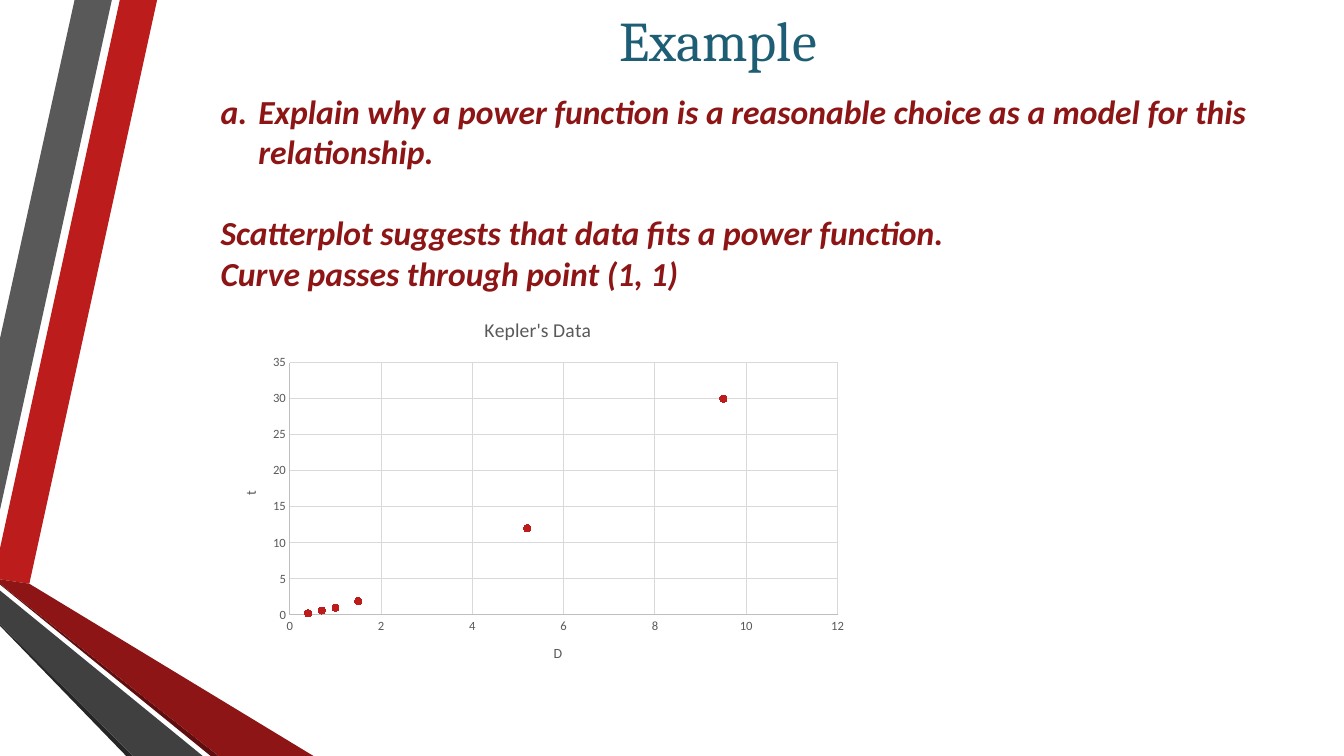
from lxml import etree
from pptx import Presentation
from pptx.chart.data import XyChartData
from pptx.dml.color import RGBColor
from pptx.enum.chart import XL_CHART_TYPE, XL_MARKER_STYLE, XL_TICK_MARK
from pptx.enum.text import PP_ALIGN
from pptx.oxml.ns import qn
from pptx.util import Cm, Pt

SCATTER = XL_CHART_TYPE.XY_SCATTER
CIRCLE = XL_MARKER_STYLE.CIRCLE
NO_TICK = XL_TICK_MARK.NONE
CENTER = PP_ALIGN.CENTER

RED, DARK_RED, TEAL, GRAY = "BC1C1C", "8D1515", "1D5E75", "595959"
AXIS_GRAY, GRID_GRAY = "BFBFBF", "D9D9D9"

RIBBONS = [
    (RED, [(0, 13.82), (0, 14.6), (0.74, 14.71), (3.96, 0), (3.02, 0)]),
    (GRAY, [(2.82, 0), (1.88, 0), (0, 8.53), (0, 12.85)]),
    ("262626", [(0, 15.72), (0, 15.77), (3.18, 19.05), (3.35, 19.05)]),
    ("5E0E0E", [(0, 14.71), (0, 14.73), (5.31, 19.05), (5.51, 19.05)]),
    (DARK_RED, [(0, 14.71), (5.51, 19.05), (7.9, 19.05), (0.74, 14.71), (0, 14.6)]),
    ("404040", [(0, 15.72), (3.35, 19.05), (5.11, 19.05), (0, 14.88)]),
]
TITLE = "Example"
QUESTION = "Explain why a power function is a reasonable choice as a model for this relationship."
ANSWERS = [
    ("Scatterplot suggests that data fits a power function.", 29.3),
    ("Curve passes through point (1, 1)", 0),
]
CHART_TITLE = "Kepler's Data"
ORBITS = [(0.4, 0.2), (0.7, 0.6), (1, 1), (1.5, 1.9), (5.2, 12), (9.5, 30)]
AXES = [("D", 12, 2), ("t", 35, 5)]
TITLE_SPOTS = [(0.41, 0.03), (0.52, 0.89), (0.03, 0.49)]
PLOT_AREA = (0.11, 0.16, 0.86, 0.66)


def color(value):
    return RGBColor.from_string(value)


def write(paragraph, text, size, ink, font="Calibri", bold=False, italic=False,
          align=None, before=0, numbered=False):
    run = paragraph.add_run()
    run.text = text
    run.font.name = font
    run.font.size = Pt(size)
    run.font.bold = bold
    run.font.italic = italic
    run.font.color.rgb = color(ink)
    if align is not None:
        paragraph.alignment = align
    if before:
        paragraph.space_before = Pt(before)
    if numbered:
        properties = paragraph._p.get_or_add_pPr()
        properties.set("marL", str(Cm(0.95)))
        properties.set("indent", str(-Cm(0.95)))
        etree.SubElement(properties, qn("a:buFont"), typeface="+mj-lt")
        etree.SubElement(properties, qn("a:buAutoNum"), type="alphaLcPeriod")


def add_text_box(slide, left, top, width, height):
    frame = slide.shapes.add_textbox(Cm(left), Cm(top), Cm(width), Cm(height)).text_frame
    frame.word_wrap = True
    return frame


def add_ribbon(slide, fill, points):
    corners = [(Cm(x), Cm(y)) for x, y in points]
    builder = slide.shapes.build_freeform(*corners[0])
    builder.add_line_segments(corners[1:], close=True)
    shape = builder.convert_to_shape()
    shape.shadow.inherit = False
    shape.fill.solid()
    shape.fill.fore_color.rgb = color(fill)
    shape.line.fill.background()


def place(element, position, values, inner=False):
    for old in element.findall(qn("c:layout")):
        element.remove(old)
    layout = etree.Element(qn("c:layout"))
    element.insert(position, layout)
    manual = etree.SubElement(layout, qn("c:manualLayout"))
    if inner:
        etree.SubElement(manual, qn("c:layoutTarget"), val="inner")
    for name in ("xMode", "yMode"):
        etree.SubElement(manual, qn("c:" + name), val="edge")
    for name, value in zip("xywh", values):
        etree.SubElement(manual, qn("c:" + name), val=str(value))


def format_axis(axis, name, maximum, step):
    axis.minimum_scale, axis.maximum_scale, axis.major_unit = 0, maximum, step
    axis.major_tick_mark = axis.minor_tick_mark = NO_TICK
    axis.has_major_gridlines = True
    for line, ink in ((axis.format.line, AXIS_GRAY),
                      (axis.major_gridlines.format.line, GRID_GRAY)):
        line.color.rgb = color(ink)
        line.width = Pt(0.75)
    font = axis.tick_labels.font
    font.name, font.size = "Calibri", Pt(9)
    font.color.rgb = color(GRAY)
    write(axis.axis_title.text_frame.paragraphs[0], name, 10, GRAY)


def add_orbit_chart(slide):
    data = XyChartData()
    orbits = data.add_series("Series 1")
    for distance, period in ORBITS:
        orbits.add_data_point(distance, period)
    chart = slide.shapes.add_chart(SCATTER, Cm(5.54), Cm(7.6), Cm(16.05), Cm(9.63), data).chart
    chart.has_legend = False
    chart.font.name, chart.font.size = "Calibri", Pt(10)
    chart.has_title = True
    write(chart.chart_title.text_frame.paragraphs[0], CHART_TITLE, 14, GRAY)
    for axis, settings in zip((chart.category_axis, chart.value_axis), AXES):
        format_axis(axis, *settings)

    plot = chart.plots[0]
    plot.vary_by_categories = False
    series = plot.series[0]
    series.format.line.fill.background()
    series.marker.style, series.marker.size = CIRCLE, 5
    series.marker.format.fill.solid()
    series.marker.format.fill.fore_color.rgb = color(RED)
    series.marker.format.line.color.rgb = color(RED)

    titles = chart.element.xpath(".//c:title")
    for title, spot in zip(titles, TITLE_SPOTS):
        place(title, 1, spot)
    titles[-1].find(".//" + qn("a:bodyPr")).set("rot", "-5400000")
    place(chart.element.xpath(".//c:plotArea")[0], 0, PLOT_AREA, inner=True)


def main():
    presentation = Presentation()
    presentation.slide_width, presentation.slide_height = Cm(33.87), Cm(19.05)
    slide = presentation.slides.add_slide(presentation.slide_layouts[6])
    for fill, points in RIBBONS:
        add_ribbon(slide, fill, points)

    heading = add_text_box(slide, 3.84, 0, 28.52, 1.78)
    heading.margin_top = Cm(0.13)
    write(heading.paragraphs[0], TITLE, 40, TEAL, font="Cambria", align=CENTER)

    add_orbit_chart(slide)

    body = add_text_box(slide, 5.31, 2.16, 26.7, 5.38)
    style = {"size": 24, "ink": DARK_RED, "bold": True, "italic": True}
    write(body.paragraphs[0], QUESTION, numbered=True, **style)
    for answer, before in ANSWERS:
        write(body.add_paragraph(), answer, before=before, **style)
    presentation.save("out.pptx")


if __name__ == "__main__":
    main()
